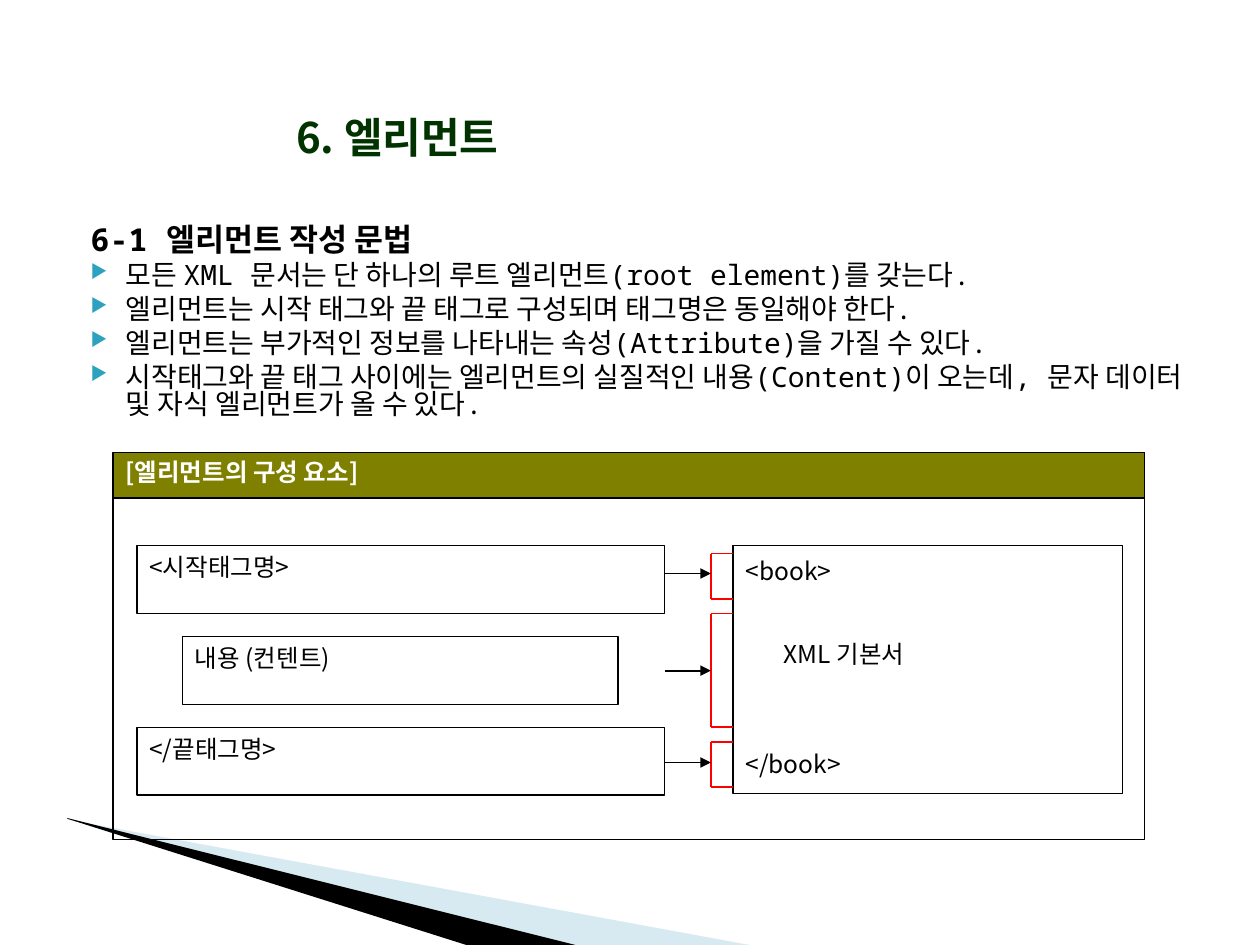
from lxml import etree
from pptx import Presentation
from pptx import util as u
from pptx.dml.color import RGBColor
from pptx.enum import shapes, text
from pptx.oxml import ns

BLACK = RGBColor(0x00, 0x00, 0x00)
WHITE = RGBColor(0xFF, 0xFF, 0xFF)
OLIVE = RGBColor(0x80, 0x80, 0x00)
RED = RGBColor(0xFF, 0x00, 0x00)
DARK_GREEN = RGBColor(0x00, 0x33, 0x00)
PALE_BLUE = RGBColor(0x9F, 0xCB, 0xDC)
BULLET_BLUE = RGBColor(0x2D, 0xA2, 0xBF)
SANS = "Noto Sans CJK KR"
MONO = "Noto Sans Mono"


def add_xml(parent, tag, **attributes):
    names = {key: str(value) for key, value in attributes.items()}
    return etree.SubElement(parent, ns.qn(tag), names)


class SlideBuilder:
    """Draws on one slide; all lengths are in centimetres."""

    def __init__(self, slide):
        self.slide = slide

    def style(self, paragraph, size, color=BLACK, bold=False, font=SANS):
        for run in paragraph.runs:
            run.font.size = u.Pt(size)
            run.font.bold = bold
            run.font.color.rgb = color
            run.font.name = font
            add_xml(run.font._element, "a:ea", typeface=SANS)

    def wedge(self, points, color, opacity=None):
        corners = [(u.Cm(x), u.Cm(y)) for x, y in points]
        builder = self.slide.shapes.build_freeform(*corners[0])
        builder.add_line_segments(corners[1:], close=True)
        shape = builder.convert_to_shape()
        shape.shadow.inherit = False
        shape.fill.solid()
        shape.fill.fore_color.rgb = color
        shape.line.fill.background()
        if opacity:
            color_element = shape._element.spPr.find(".//" + ns.qn("a:srgbClr"))
            add_xml(color_element, "a:alpha", val=opacity * 1000)

    def box(self, left, top, width, height, fill=None, lines=(), color=BLACK,
            bold=False, inset=0.13):
        """Add an outlined box; each line is (words, space before, indent)."""
        shape = self.slide.shapes.add_shape(
            shapes.MSO_SHAPE.RECTANGLE,
            u.Cm(left), u.Cm(top), u.Cm(width), u.Cm(height))
        shape.shadow.inherit = False
        if fill is None:
            shape.fill.background()
        else:
            shape.fill.solid()
            shape.fill.fore_color.rgb = fill
        shape.line.color.rgb = BLACK
        shape.line.width = u.Pt(0.75)
        frame = shape.text_frame
        frame.vertical_anchor = text.MSO_ANCHOR.TOP
        frame.margin_top = u.Cm(inset)
        frame.text = "\n".join(line[0] for line in lines)
        for paragraph, (_, space, indent) in zip(frame.paragraphs, lines):
            paragraph.alignment = text.PP_ALIGN.LEFT
            paragraph.space_before = u.Pt(space)
            paragraph._p.get_or_add_pPr().set("marL", str(u.Cm(indent)))
            self.style(paragraph, 14, color, bold)

    def line(self, x1, y1, x2, y2, color, arrow=False):
        connector = self.slide.shapes.add_connector(
            shapes.MSO_CONNECTOR.STRAIGHT,
            u.Cm(x1), u.Cm(y1), u.Cm(x2), u.Cm(y2))
        connector.line.color.rgb = color
        connector.line.width = u.Pt(1)
        if arrow:
            add_xml(connector.line._get_or_add_ln(), "a:tailEnd", type="triangle")
        add_xml(connector._element.spPr, "a:effectLst")

    def bracket(self, left, right, top, bottom):
        self.line(right, top, left, top, RED)
        self.line(left, top, left, bottom, RED)
        self.line(right, bottom, left, bottom, RED)

    def title(self, left, top, width, height, words):
        shape = self.slide.shapes.add_textbox(
            u.Cm(left), u.Cm(top), u.Cm(width), u.Cm(height))
        shape.text_frame.word_wrap = False
        shape.text_frame.text = words
        self.style(shape.text_frame.paragraphs[0], 24, DARK_GREEN, True)

    def bullet_list(self, left, top, width, height, heading, items):
        shape = self.slide.shapes.add_textbox(
            u.Cm(left), u.Cm(top), u.Cm(width), u.Cm(height))
        frame = shape.text_frame
        frame.word_wrap = True
        frame.text = "\n".join([heading, *items])
        for index, paragraph in enumerate(frame.paragraphs):
            paragraph.line_spacing = 0.8
            paragraph.space_before = u.Pt(4 if index else 0)
            properties = paragraph._p.get_or_add_pPr()
            properties.set("marL", str(u.Cm(1.02)))
            properties.set("indent", str(u.Cm(-0.71)))
            if index:
                bullet_color = add_xml(properties, "a:buClr")
                add_xml(bullet_color, "a:srgbClr", val=BULLET_BLUE)
                add_xml(properties, "a:buSzPct", val=68000)
                add_xml(properties, "a:buChar", char="▶")
                self.style(paragraph, 16, font=MONO)
            else:
                add_xml(properties, "a:buNone")
                self.style(paragraph, 18, bold=True, font=MONO)


def main():
    presentation = Presentation()
    presentation.slide_width, presentation.slide_height = u.Cm(25.4), u.Cm(19.05)
    slide = presentation.slides.add_slide(presentation.slide_layouts[6])
    builder = SlideBuilder(slide)

    builder.wedge([(1.4, 16.53), (15.11, 19.05), (11.58, 19.05), (1.4, 16.51)],
                  PALE_BLUE, opacity=40)
    builder.wedge([(1.35, 16.49), (11.6, 19.05), (9.4, 19.05), (1.37, 16.51)], BLACK)

    builder.bullet_list(1.27, 4.45, 22.86, 4.47, "6-1 엘리먼트 작성 문법", [
        "모든 XML 문서는 단 하나의 루트 엘리먼트(root element)를 갖는다.",
        "엘리먼트는 시작 태그와 끝 태그로 구성되며 태그명은 동일해야 한다.",
        "엘리먼트는 부가적인 정보를 나타내는 속성(Attribute)을 가질 수 있다.",
        "시작태그와 끝 태그 사이에는 엘리먼트의 실질적인 내용(Content)이 오는데, "
        "문자 데이터 및 자식 엘리먼트가 올 수 있다.",
    ])

    builder.box(2.28, 10.04, 20.8, 6.88)
    parts = [("<시작태그명>", 2.76, 10.64),
             ("내용 (컨텐트)", 3.68, 8.78),
             ("</끝태그명>", 2.76, 10.64)]
    for row, (words, left, width) in enumerate(parts):
        builder.box(left, 11 + 1.83 * row, width, 1.37, WHITE, [(words, 0, 0)])

    code_left, bracket_left, arrow_left = 14.78, 14.33, 13.4
    builder.box(code_left, 11, 7.85, 5, WHITE, [
        ("<book>", 0, 0), ("XML 기본서", 31, 0.77), ("</book>", 46, 0)], inset=0.2)
    spans = [(11.16, 12.07, 11.56), (12.37, 14.66, 13.52), (14.96, 15.86, 15.37)]
    for top, bottom, arrow_y in spans:
        builder.bracket(bracket_left, code_left, top, bottom)
        builder.line(arrow_left, arrow_y, bracket_left, arrow_y, BLACK, arrow=True)

    builder.box(2.28, 9.12, 20.8, 0.92, OLIVE, [("[엘리먼트의 구성 요소]", 0, 0)],
                WHITE, bold=True, inset=0.1)
    builder.title(5.72, 2.13, 4.83, 1.27, "6. 엘리먼트")
    presentation.save("out.pptx")


if __name__ == "__main__":
    main()
